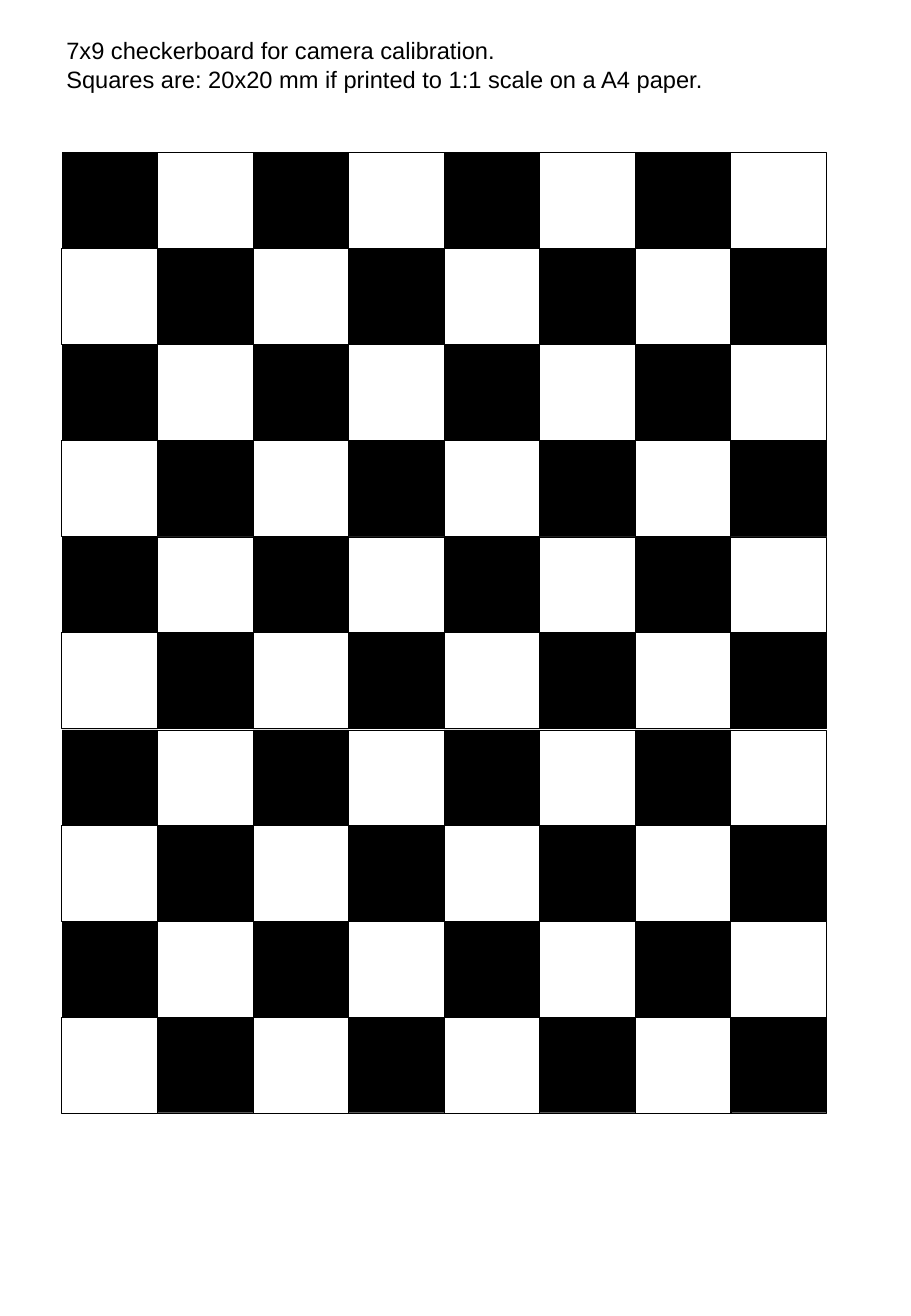
"""Build the camera calibration checkerboard page."""
import dataclasses

import pptx
import pptx.dml.color
import pptx.enum.shapes
import pptx.enum.text
import pptx.util

Pt = pptx.util.Pt


@dataclasses.dataclass(frozen=True)
class Theme:
    """Colours, type and line sizes."""
    black: pptx.dml.color.RGBColor = pptx.dml.color.RGBColor(0, 0, 0)
    white: pptx.dml.color.RGBColor = pptx.dml.color.RGBColor(255, 255, 255)
    font: str = "Arial"
    text_size: float = 14
    outline: float = 0.25


THEME = Theme()
CAPTION = (
    "7x9 checkerboard for camera calibration. ",
    "Squares are: 20x20 mm if printed to 1:1 scale on a A4 paper.",
)
COLUMNS = 8
SQUARE = 56.69
COLUMN_PITCH = 56.62
ROW_PITCH = 56.8
BAND_OFFSETS = (0, 113.8, 227.8, 342.2, 455.7)
EDGE_SHIFT = 0.5


def add_caption(page, left, top, width, height):
    """Write the two caption lines in one paragraph."""
    box = page.shapes.add_textbox(Pt(left), Pt(top), Pt(width), Pt(height))
    frame = box.text_frame
    frame.word_wrap = False
    frame.auto_size = pptx.enum.text.MSO_AUTO_SIZE.SHAPE_TO_FIT_TEXT
    para = frame.paragraphs[0]
    para.font.name = THEME.font
    para.font.size = Pt(THEME.text_size)
    para.font.color.rgb = THEME.black
    first, second = CAPTION
    para.add_run().text = first
    para.add_line_break()
    para.add_run().text = second


def add_square(page, left, top, color):
    """Draw one outlined square."""
    square = page.shapes.add_shape(
        pptx.enum.shapes.MSO_SHAPE.RECTANGLE,
        Pt(left), Pt(top), Pt(SQUARE), Pt(SQUARE))
    square.shadow.inherit = False
    square.fill.solid()
    square.fill.fore_color.rgb = color
    square.line.color.rgb = THEME.black
    square.line.width = Pt(THEME.outline)


def add_checkerboard(page, left, top):
    """Draw the bands, each a pair of alternating rows."""
    for offset in BAND_OFFSETS:
        for row in range(2):
            for column in range(COLUMNS):
                shift = EDGE_SHIFT if row == 1 and column == 0 else 0
                color = THEME.white if (row + column) % 2 else THEME.black
                add_square(page, left + column * COLUMN_PITCH - shift,
                           top + offset + row * ROW_PITCH, color)


def main():
    """Save the one-page deck."""
    deck = pptx.Presentation()
    deck.slide_width, deck.slide_height = Pt(540), Pt(780)
    page = deck.slides.add_slide(deck.slide_layouts[6])
    add_caption(page, 32.2, 18, 394.6, 39.6)
    add_checkerboard(page, 36.8, 90.4)
    deck.save("out.pptx")


if __name__ == "__main__":
    main()
